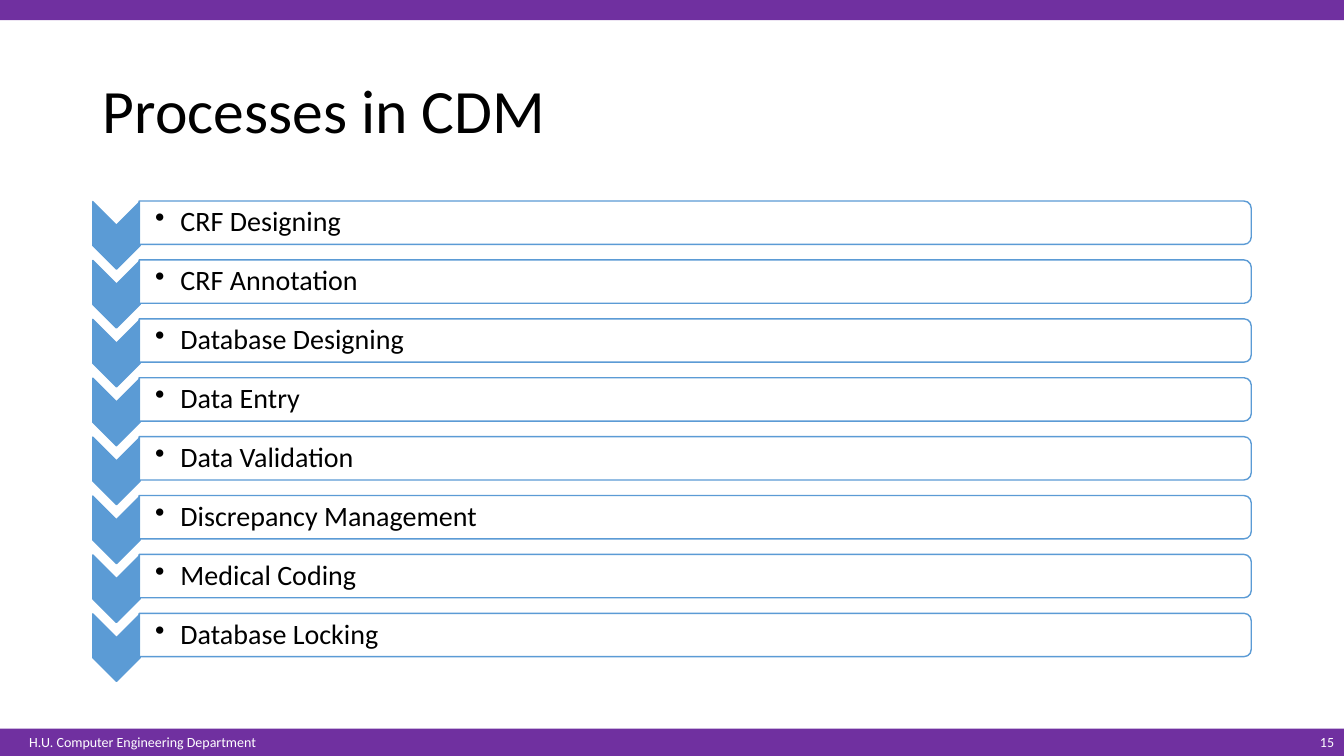
from dataclasses import dataclass

from lxml.etree import SubElement
from pptx import Presentation
from pptx.dml.color import RGBColor
from pptx.enum.shapes import MSO_SHAPE
from pptx.enum.text import MSO_ANCHOR, MSO_AUTO_SIZE, PP_ALIGN
from pptx.oxml.ns import qn
from pptx.util import Inches, Pt


@dataclass(frozen=True)
class Theme:
    font: str = "Calibri"
    purple: RGBColor = RGBColor(0x70, 0x30, 0xA0)
    blue: RGBColor = RGBColor(0x5B, 0x9B, 0xD5)
    white: RGBColor = RGBColor(0xFF, 0xFF, 0xFF)
    black: RGBColor = RGBColor(0, 0, 0)
    title_size: int = 44
    step_size: int = 20
    footer_size: int = 10


@dataclass(frozen=True)
class Area:
    left: float
    top: float
    width: float
    height: float

    def lengths(self) -> list:
        return [Inches(n) for n in (self.left, self.top, self.width, self.height)]


@dataclass(frozen=True)
class Step:
    label: str
    middle: float


THEME = Theme()
LABELS = [
    "CRF Designing", "CRF Annotation", "Database Designing", "Data Entry",
    "Data Validation", "Discrepancy Management", "Medical Coding", "Database Locking",
]
FIRST_MIDDLE, LAST_MIDDLE = 2.21, 6.3
PITCH = (LAST_MIDDLE - FIRST_MIDDLE) / (len(LABELS) - 1)
STEPS = [Step(label, FIRST_MIDDLE + row * PITCH) for row, label in enumerate(LABELS)]


def format_paragraph(para, size: int, color: RGBColor, align=PP_ALIGN.LEFT) -> None:
    para.alignment = align
    para.font.name = THEME.font
    para.font.size = Pt(size)
    para.font.color.rgb = color


def add_band(shapes, area: Area) -> None:
    band = shapes.add_shape(MSO_SHAPE.RECTANGLE, *area.lengths())
    band.shadow.inherit = False
    band.fill.solid()
    band.fill.fore_color.rgb = THEME.purple
    band.line.fill.background()


def add_turned_shape(shapes, kind, area: Area, fill: RGBColor):
    shape = shapes.add_shape(kind, *area.lengths())
    shape.rotation = 90
    shape.shadow.inherit = False
    shape.fill.solid()
    shape.fill.fore_color.rgb = fill
    shape.line.color.rgb = THEME.blue
    shape.line.width = Pt(1)
    return shape


def add_text(shapes, area: Area, text: str, size: int, color: RGBColor,
             align=PP_ALIGN.LEFT, anchor=MSO_ANCHOR.MIDDLE, wrap: bool = True):
    box = shapes.add_textbox(*area.lengths())
    frame = box.text_frame
    frame.word_wrap = wrap
    frame.vertical_anchor = anchor
    frame.text = text
    format_paragraph(frame.paragraphs[0], size, color, align)
    return frame


def add_bullet(para) -> None:
    properties = para._p.get_or_add_pPr()
    properties.set("marL", str(Inches(0.25)))
    properties.set("indent", str(-Inches(0.25)))
    SubElement(properties, qn("a:buChar")).set("char", "•")


def add_step(shapes, step: Step) -> None:
    add_turned_shape(shapes, MSO_SHAPE.CHEVRON,
                     Area(0.82, step.middle - 0.11, 0.67, 0.47), THEME.blue)
    panel = add_turned_shape(shapes, MSO_SHAPE.ROUND_2_SAME_RECTANGLE,
                             Area(6.68, step.middle - 11.03 / 2, 0.43, 11.03), THEME.white)
    white = panel._element.spPr.find(qn("a:solidFill"))[0]
    SubElement(white, qn("a:alpha")).set("val", "90000")
    frame = add_text(shapes, Area(1.38, step.middle - 0.39 / 2, 11.01, 0.39),
                     step.label, THEME.step_size, THEME.black)
    frame.margin_left = Inches(0.16)
    frame.margin_top = frame.margin_right = frame.margin_bottom = Inches(0.01)
    para = frame.paragraphs[0]
    para.line_spacing = 0.9
    add_bullet(para)


def format_title(title) -> None:
    title.left, title.top, title.width, title.height = Area(0.92, 0.4, 11.5, 1.45).lengths()
    frame = title.text_frame
    frame.text = "Processes in CDM"
    frame.auto_size = MSO_AUTO_SIZE.NONE
    frame.vertical_anchor = MSO_ANCHOR.MIDDLE
    para = frame.paragraphs[0]
    para.line_spacing = 0.9
    format_paragraph(para, THEME.title_size, THEME.black)


def main() -> None:
    deck = Presentation()
    deck.slide_width, deck.slide_height = Inches(13.33), Inches(7.5)
    page = deck.slides.add_slide(deck.slide_layouts[5])
    format_title(page.shapes.title)
    add_band(page.shapes, Area(0, 0, 13.33, 0.2))
    add_band(page.shapes, Area(0, 7.23, 13.33, 0.27))
    add_text(page.shapes, Area(0.19, 7.23, 2.49, 0.27), "H.U. Computer Engineering Department",
             THEME.footer_size, THEME.white, anchor=MSO_ANCHOR.TOP, wrap=False)
    process = page.shapes.add_group_shape()
    for step in STEPS:
        add_step(process.shapes, step)
    add_text(page.shapes, Area(12.26, 7.23, 1.07, 0.26), "15",
             THEME.footer_size, THEME.white, align=PP_ALIGN.RIGHT)
    deck.save("out.pptx")


if __name__ == "__main__":
    main()
